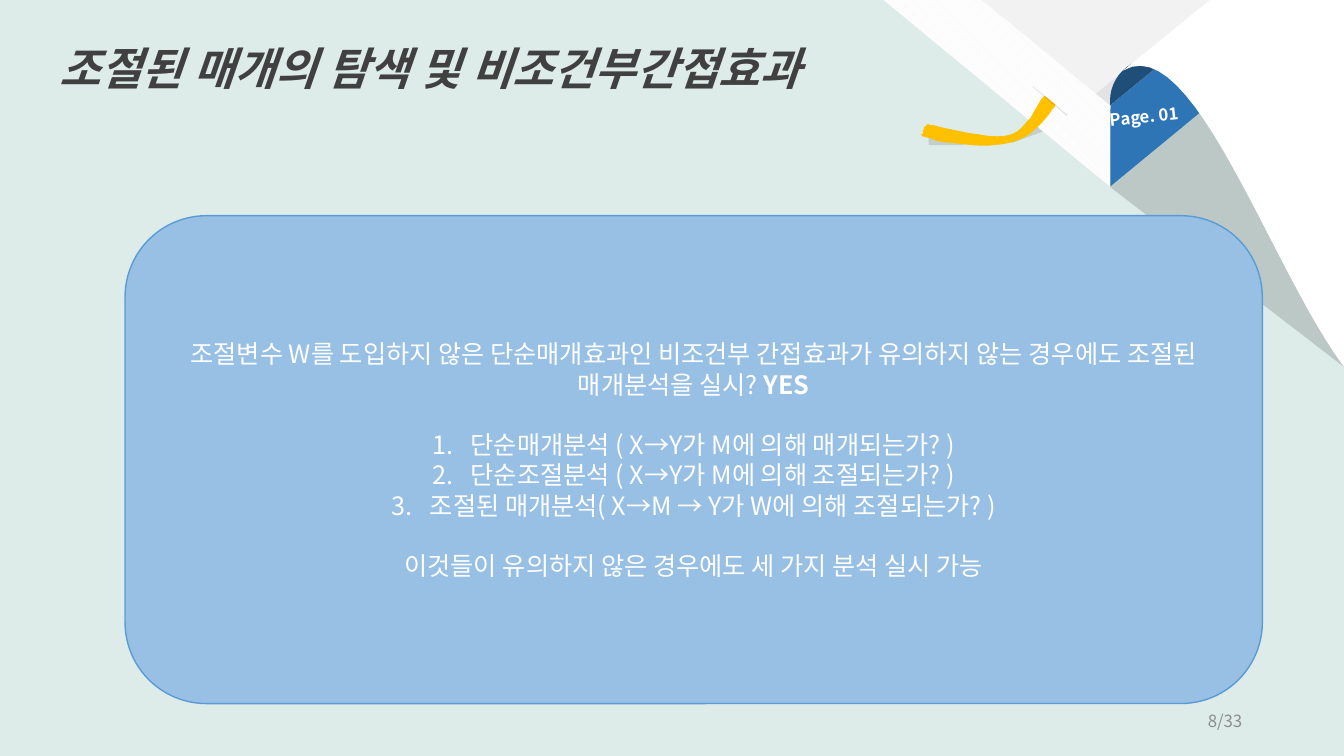
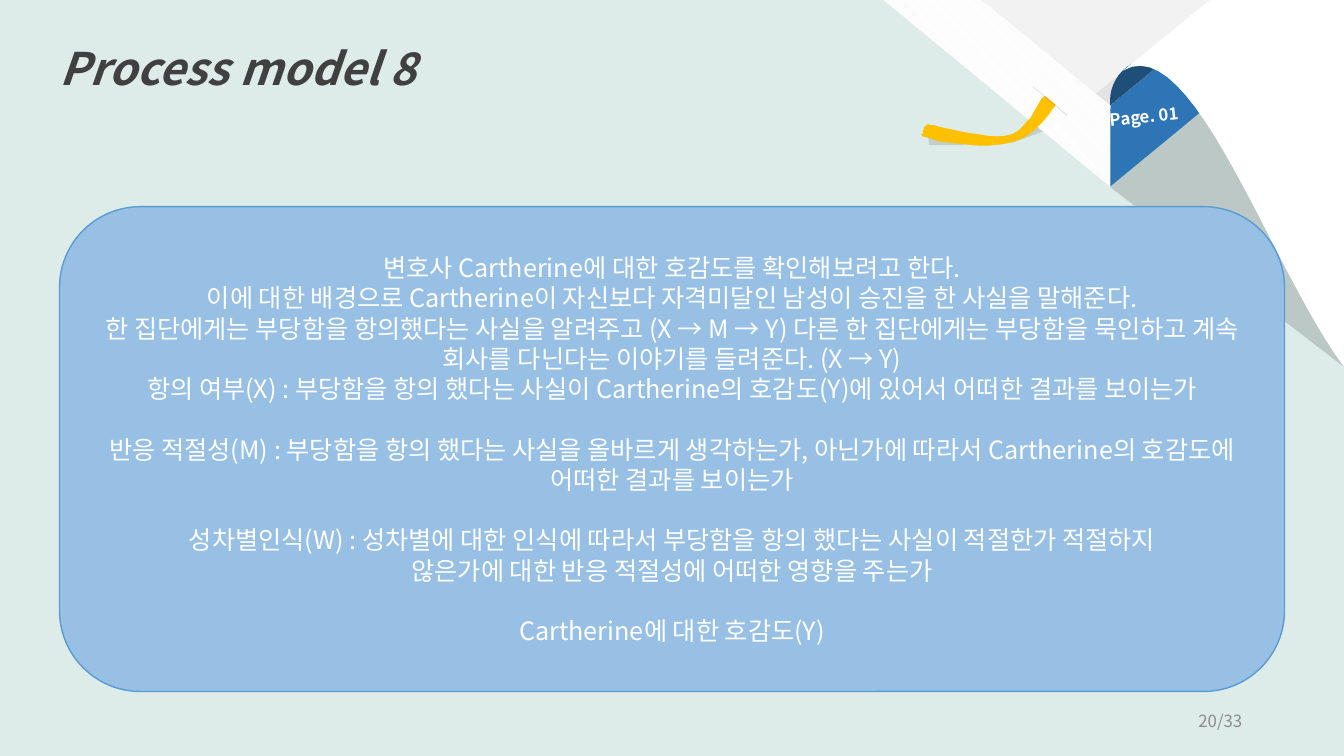
"""Build two slides on moderated mediation with a shared page-curl decoration."""
import lxml.etree
import pptx
import pptx.dml.color
import pptx.enum.dml
import pptx.enum.shapes
import pptx.enum.text
import pptx.oxml.ns
import pptx.util

Inches = pptx.util.Inches
Pt = pptx.util.Pt
SHAPE = pptx.enum.shapes.MSO_SHAPE
ALIGN = pptx.enum.text.PP_ALIGN
ANCHOR = pptx.enum.text.MSO_ANCHOR
qn = pptx.oxml.ns.qn
rgb = pptx.dml.color.RGBColor.from_string

FONT = "Noto Sans CJK KR"
BACKGROUND, WHITE, BLACK = "DDECE9", "FFFFFF", "000000"
PALE, BLUE, NAVY, GOLD = "F2F2F2", "2E75B6", "1F4E79", "FFC000"
PANEL, PANEL_LINE, TITLE, FOOTER = "98C0E4", "5B9BD5", "404040", "8C8C8C"
BLANK_LINE = Pt(21.6)

DECORATION = [
    dict(kind=SHAPE.RIGHT_TRIANGLE, at=(9.21, 1.28, 0.36, 0.16), fill=BLACK, alpha=12),
    dict(outline=[(10.08, 1.31), (10.48, 1.13), (10.52, 1.24), (10.03, 1.42)],
         fill=BLACK, alpha=12),
    dict(kind=SHAPE.ISOSCELES_TRIANGLE, at=(9.72, 0, 2.61, 1.07), turn=180, fill=PALE),
    dict(kind=SHAPE.PARALLELOGRAM, at=(8.13, 0.2, 3.48, 0.62), turn=39.5, flip=True,
         adjust=[0.83], fill=PALE, hatch=WHITE),
    dict(outline=[(12.01, 0), (12.33, 0), (11.03, 1.06), (10.87, 0.93)],
         fill=BLACK, alpha=6),
    dict(kind=SHAPE.ISOSCELES_TRIANGLE, at=(10.31, 0.62, 3.72, 2.32), turn=270,
         adjust=[0.48], fill=BLACK, alpha=15),
    dict(kind=SHAPE.PARALLELOGRAM, at=(10.42, 0.2, 3.46, 0.62), turn=320.5,
         adjust=[0.83], fill=BLUE),
    dict(kind=SHAPE.CHORD, at=(11.01, 0.58, 0.84, 0.84), adjust=[104.35, 172.35], fill=NAVY),
    dict(outline=[(13.33, 3.64), (12.6, 2.66, 11.83, 0.29, 11.14, 0.7), (12, 0), (13.33, 0)],
         fill=WHITE),
    dict(outline=[(10.36, 0.95), (10.47, 1.04), (10.46, 1.05, 10.46, 1.07, 10.44, 1.08),
                  (10.4, 1.15, 10.28, 1.29, 10.18, 1.35), (10.08, 1.41, 9.98, 1.43, 9.86, 1.44),
                  (9.74, 1.46, 9.55, 1.43, 9.45, 1.42), (9.34, 1.41, 9.27, 1.4, 9.23, 1.37),
                  (9.2, 1.34, 9.21, 1.26, 9.23, 1.25), (9.25, 1.23, 9.28, 1.25, 9.36, 1.27),
                  (9.43, 1.28, 9.58, 1.32, 9.68, 1.33), (9.78, 1.34, 9.8, 1.36, 9.96, 1.35),
                  (10.12, 1.33, 10.15, 1.23, 10.22, 1.17), (10.26, 1.1, 10.3, 1.03, 10.33, 0.98)],
         fill=GOLD),
    dict(outline=[(9.27, 1.25), (9.19, 1.23), (9.2, 1.24), (9.18, 1.25), (9.17, 1.26),
                  (9.16, 1.27), (9.17, 1.28), (9.15, 1.29), (9.16, 1.3), (9.15, 1.31),
                  (9.16, 1.32), (9.13, 1.34), (9.15, 1.34), (9.14, 1.35), (9.29, 1.39),
                  (9.35, 1.27)], fill=GOLD),
    dict(outline=[(10.24, 0.86), (10.25, 0.86), (10.59, 1.14), (10.58, 1.15)],
         fill=BLACK, alpha=9),
]

SLIDES = [
    dict(title="조절된 매개의 탐색 및 비조건부간접효과", footer="8/33",
         panel=(1.24, 2.14, 11.28, 4.84), numbered=(1, 2, 3), gap_after=(0, 3), answer="YES",
         lines=["조절변수 W를 도입하지 않은 단순매개효과인 비조건부 간접효과가 유의하지 않는 경우에도 조절된 매개분석을 실시? ",
                "단순매개분석 ( X→Y가 M에 의해 매개되는가? )",
                "단순조절분석 ( X→Y가 M에 의해 조절되는가? )",
                "조절된 매개분석( X→M → Y가 W에 의해 조절되는가? )",
                "이것들이 유의하지 않은 경우에도 세 가지 분석 실시 가능"]),
    dict(title="Process model 8", footer="20/33",
         panel=(0.59, 2.05, 12.15, 4.81), numbered=(), gap_after=(3, 4, 6), answer="",
         lines=["변호사 Cartherine에 대한 호감도를 확인해보려고 한다.",
                "이에 대한 배경으로 Cartherine이 자신보다 자격미달인 남성이 승진을 한 사실을 말해준다.",
                "한 집단에게는 부당함을 항의했다는 사실을 알려주고 (X → M → Y) 다른 한 집단에게는 부당함을 묵인하고 계속 회사를 다닌다는 이야기를 들려준다. (X → Y)",
                "항의 여부(X) : 부당함을 항의 했다는 사실이 Cartherine의 호감도(Y)에 있어서 어떠한 결과를 보이는가",
                "반응 적절성(M) : 부당함을 항의 했다는 사실을 올바르게 생각하는가, 아닌가에 따라서 Cartherine의 호감도에 어떠한 결과를 보이는가",
                "성차별인식(W) : 성차별에 대한 인식에 따라서 부당함을 항의 했다는 사실이 적절한가 적절하지",
                "않은가에 대한 반응 적절성에 어떠한 영향을 주는가",
                "Cartherine에 대한 호감도(Y)"]),
]


def paint(shape, fill, alpha=100, hatch=None):
    """Fill a shape with a colour, a see-through colour or a hatch, without outline."""
    shape.shadow.inherit = False
    shape.line.fill.background()
    if hatch:
        shape.fill.patterned()
        shape.fill.pattern = pptx.enum.dml.MSO_PATTERN.DARK_DOWNWARD_DIAGONAL
        shape.fill.back_color.rgb = rgb(hatch)
    else:
        shape.fill.solid()
    shape.fill.fore_color.rgb = rgb(fill)
    if alpha < 100:
        colour = shape._element.spPr.find(qn("a:solidFill") + "/" + qn("a:srgbClr"))
        lxml.etree.SubElement(colour, qn("a:alpha"), val=str(alpha * 1000))


def style(box, size, colour, align=ALIGN.LEFT, anchor=ANCHOR.TOP, bold=False, italic=False):
    """Format all the text of a box."""
    box.text_frame.word_wrap = True
    box.text_frame.vertical_anchor = anchor
    for paragraph in box.text_frame.paragraphs:
        paragraph.alignment = align
        for span in paragraph.runs:
            span.font.name = FONT
            span.font.size = Pt(size)
            span.font.bold = bold
            span.font.italic = italic
            span.font.color.rgb = rgb(colour)
            latin = span.font._element.find(qn("a:latin"))
            latin.addnext(latin.makeelement(qn("a:ea"), {"typeface": FONT}))


deck = pptx.Presentation()
deck.slide_width, deck.slide_height = Inches(13.33), Inches(7.5)
deck.slide_master.background.fill.solid()
deck.slide_master.background.fill.fore_color.rgb = rgb(BACKGROUND)

for content in SLIDES:
    page = deck.slides.add_slide(deck.slide_layouts[6])

    for part in DECORATION:
        if "outline" in part:
            points = []
            for step in part["outline"]:
                if len(step) == 2:
                    points.append(step)
                    continue
                start = points[-1]
                controls = [start, step[:2], step[2:4], step[4:]]
                count = 24 if abs(step[4] - start[0]) > 1 else 6
                for index in range(1, count + 1):
                    t = index / count
                    weights = ((1 - t) ** 3, 3 * t * (1 - t) ** 2, 3 * t ** 2 * (1 - t), t ** 3)
                    points.append(tuple(sum(w * c[axis] for w, c in zip(weights, controls))
                                        for axis in (0, 1)))
            corners = [(Inches(x), Inches(y)) for x, y in points]
            builder = page.shapes.build_freeform(*corners[0], scale=1.0)
            builder.add_line_segments(corners[1:], close=True)
            shape = builder.convert_to_shape()
        else:
            shape = page.shapes.add_shape(part["kind"], *map(Inches, part["at"]))
            shape.rotation = part.get("turn", 0)
            for index, value in enumerate(part.get("adjust", [])):
                shape.adjustments[index] = value
            if part.get("flip"):
                shape._element.spPr.get_or_add_xfrm().set("flipH", "1")
        paint(shape, part["fill"], part.get("alpha", 100), part.get("hatch"))

    tab = page.shapes.add_textbox(Inches(10.91), Inches(1), Inches(1.01), Inches(0.3))
    tab.text_frame.text = "Page. 01"
    tab.rotation = 354
    style(tab, 12, WHITE, bold=True)

    title = page.shapes.add_textbox(Inches(0.49), Inches(0.36), Inches(8.42), Inches(0.64))
    title.text_frame.text = content["title"]
    style(title, 32, TITLE, bold=True, italic=True)

    panel = page.shapes.add_shape(SHAPE.ROUNDED_RECTANGLE, *map(Inches, content["panel"]))
    paint(panel, PANEL)
    panel.line.color.rgb = rgb(PANEL_LINE)
    panel.line.width = Pt(1)
    panel.text_frame.text = "\n".join(content["lines"])
    paragraphs = panel.text_frame.paragraphs
    if content["answer"]:
        paragraphs[0].add_run().text = content["answer"]
    style(panel, 18, WHITE, ALIGN.CENTER, ANCHOR.MIDDLE)
    if content["answer"]:
        paragraphs[0].runs[-1].font.bold = True
    for index in content["gap_after"]:
        paragraphs[index].space_after = BLANK_LINE
    for index in content["numbered"]:
        properties = paragraphs[index]._p.get_or_add_pPr()
        properties.set("marL", str(Inches(0.38)))
        properties.set("indent", str(-Inches(0.38)))
        lxml.etree.SubElement(properties, qn("a:buFont"), typeface="+mj-lt")
        lxml.etree.SubElement(properties, qn("a:buAutoNum"), type="arabicPeriod")

    footer = page.shapes.add_textbox(Inches(9.42), Inches(6.95), Inches(3), Inches(0.4))
    footer.text_frame.text = content["footer"]
    style(footer, 12, FOOTER, ALIGN.RIGHT, ANCHOR.MIDDLE)

deck.save("out.pptx")
